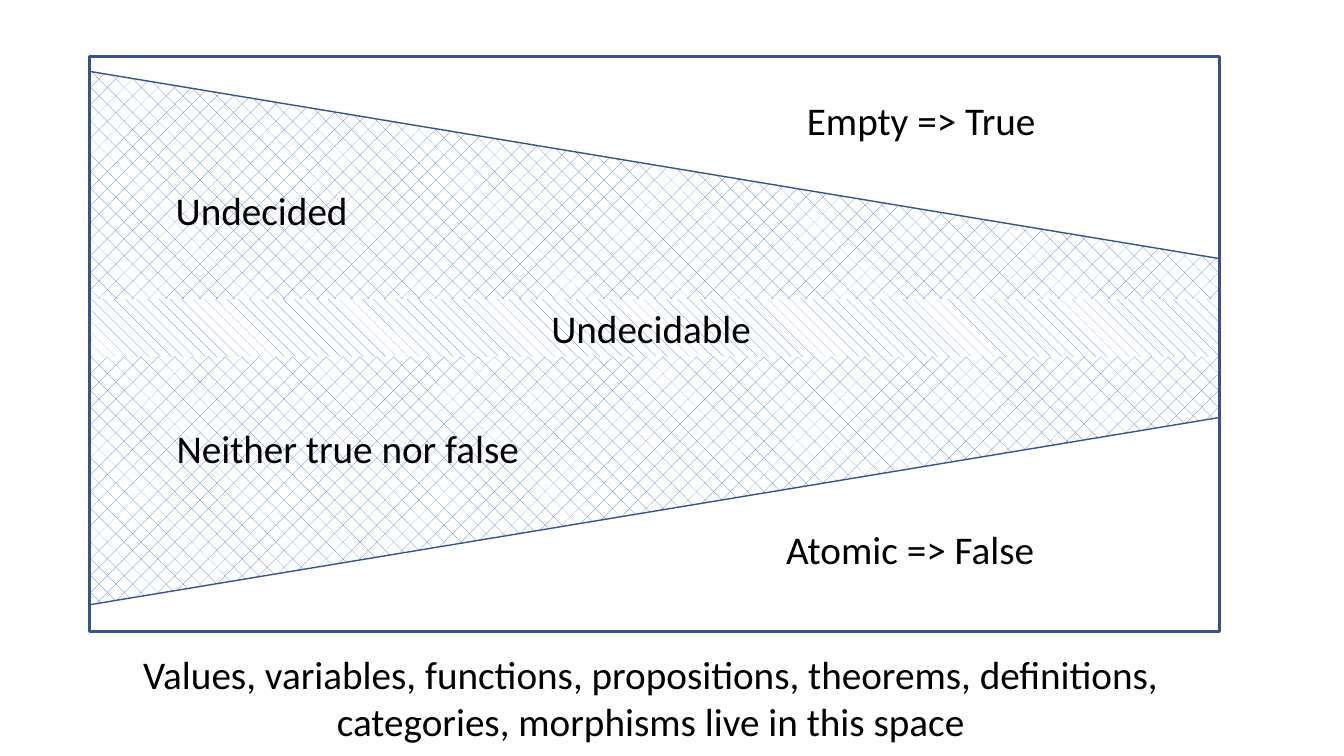
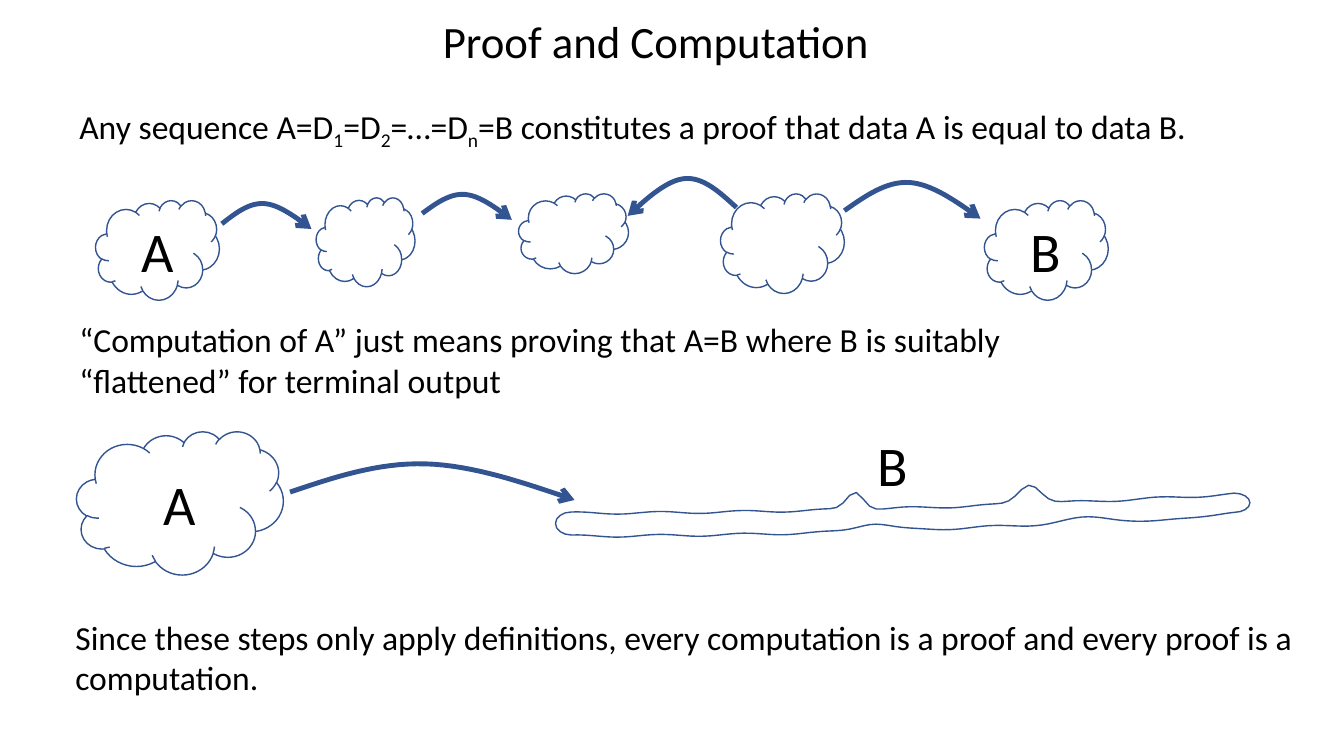
import dataclasses
import math

import lxml.etree
import pptx
import pptx.dml.color
import pptx.enum.dml
import pptx.enum.shapes
import pptx.enum.text
import pptx.oxml.ns
import pptx.util

SHAPE = pptx.enum.shapes.MSO_SHAPE
PATTERN = pptx.enum.dml.MSO_PATTERN
ALIGN = pptx.enum.text.PP_ALIGN
ANCHOR = pptx.enum.text.MSO_ANCHOR


@dataclasses.dataclass(frozen=True)
class Theme:
    font: str = "Calibri"
    ink: str = "000000"
    paper: str = "FFFFFF"
    accent: str = "4472C4"
    outline: str = "325491"
    title: int = 32
    label: int = 28
    body: int = 24
    letter: int = 40
    thin: float = 1
    frame: float = 2.25
    arrow: float = 3.5
    subscript: str = "-25000"


@dataclasses.dataclass(frozen=True)
class Box:
    left: float
    top: float
    width: float
    height: float

    def inner(self, left, top, width, height):
        return Box(self.left + left, self.top + top, width, height)

    def centred(self, width, height):
        return self.inner((self.width - width) / 2, (self.height - height) / 2, width, height)

    def points(self, offsets):
        return [(self.left + across, self.top + down) for across, down in offsets]

    def lengths(self):
        return [pptx.util.Cm(value) for value in dataclasses.astuple(self)]


@dataclasses.dataclass(frozen=True)
class Bump:
    centre: float
    rise: float
    spread: float

    def lift(self, across):
        return self.rise * math.exp(-(((across - self.centre) / self.spread) ** 2))


@dataclasses.dataclass(frozen=True)
class Edge:
    start: float
    climb: float
    bumps: tuple
    ripple: float = 0.03

    def height_at(self, across, width):
        slope = self.climb * (across / width) ** 2
        wave = self.ripple * math.sin(3 * across)
        return self.start - slope - wave - sum(bump.lift(across) for bump in self.bumps)


THEME = Theme()
LETTER_SIZE = (1.32, 1.96)
LABEL_HEIGHT = 1.45
LARGE_CLOUD = (3.12, 2.51)
NARROW_CLOUD = (2.49, 2.24)
FLAT_CLOUD = (2.77, 2.01)
UPPER_EDGE = Edge(0.74, 0.5, (Bump(7.55, 0.45, 0.3), Bump(11.95, 0.5, 0.4)))
LOWER_EDGE = Edge(1.32, 0.6, (Bump(8, 0.2, 0.6), Bump(13.5, 0.12, 0.8), Bump(15.1, -0.09, 0.7)))


def colour(value):
    return pptx.dml.color.RGBColor.from_string(value)


def apply(target, values):
    for name, value in values.items():
        setattr(target, name, value)


def write(shape, text, size, align=ALIGN.LEFT, **frame_format):
    frame = shape.text_frame
    apply(frame, {"word_wrap": True, **frame_format})
    para = frame.paragraphs[0]
    para.alignment = align
    for part in text.split("_"):
        span = para.add_run()
        span.text = part
        apply(span.font, {"name": THEME.font, "size": pptx.util.Pt(size)})
        span.font.color.rgb = colour(THEME.ink)
    run_formats = list(shape.element.iter(pptx.oxml.ns.qn("a:rPr")))
    for lowered in run_formats[1::2]:
        lowered.set("baseline", THEME.subscript)


def add_text(page, box, text, size, align=ALIGN.LEFT, **frame_format):
    write(page.shapes.add_textbox(*box.lengths()), text, size, align, **frame_format)


def style(shape, line_width=None, pattern=None):
    shape.shadow.inherit = False
    if pattern is None:
        shape.fill.background()
    else:
        shape.fill.patterned()
        shape.fill.pattern = pattern
        shape.fill.fore_color.rgb = colour(THEME.accent)
        shape.fill.back_color.rgb = colour(THEME.paper)
    if line_width is None:
        shape.line.fill.background()
    else:
        shape.line.color.rgb = colour(THEME.outline)
        shape.line.width = pptx.util.Pt(line_width)


def add_preset(page, preset, box, line_width=None, pattern=None):
    shape = page.shapes.add_shape(preset, *box.lengths())
    style(shape, line_width, pattern)
    return shape


def add_path(page, points, line_width, close):
    start, *rest = [tuple(pptx.util.Cm(value) for value in point) for point in points]
    builder = page.shapes.build_freeform(*start)
    builder.add_line_segments(rest, close=close)
    shape = builder.convert_to_shape()
    style(shape, line_width)
    return shape


def bezier(points, steps=16):
    for step in range(steps + 1):
        part = step / steps
        rest = 1 - part
        weights = (rest**3, 3 * rest**2 * part, 3 * rest * part**2, part**3)
        yield tuple(
            sum(weight * value for weight, value in zip(weights, axis)) for axis in zip(*points)
        )


def halfway(first, second):
    return tuple((one + two) / 2 for one, two in zip(first, second))


def add_arc_arrow(page, points):
    start, crest, end = points
    reach = [(last - first) / 6 for first, last in zip(start, end)]
    before = tuple(value - shift for value, shift in zip(crest, reach))
    after = tuple(value + shift for value, shift in zip(crest, reach))
    rise = list(bezier([start, halfway(start, before), before, crest]))
    fall = list(bezier([crest, after, halfway(after, end), end]))
    shape = add_path(page, rise + fall[1:], THEME.arrow, close=False)
    line = shape.element.spPr.find(pptx.oxml.ns.qn("a:ln"))
    lxml.etree.SubElement(line, pptx.oxml.ns.qn("a:tailEnd"), type="arrow")


def round_end(top, bottom, across, depth, steps=8):
    middle, radius = (top + bottom) / 2, (bottom - top) / 2
    for step in range(1, steps):
        angle = math.pi * step / steps
        yield across + depth * math.sin(angle), middle - radius * math.cos(angle)


def add_flat_blob(page, box, end_depth=0.4, steps=100):
    first, last = end_depth, box.width - end_depth
    stations = [first + (last - first) * step / steps for step in range(steps + 1)]
    upper, lower = [
        [(across, edge.height_at(across, box.width)) for across in stations]
        for edge in (UPPER_EDGE, LOWER_EDGE)
    ]
    right_end = list(round_end(upper[-1][1], lower[-1][1], last, end_depth))
    left_end = list(round_end(upper[0][1], lower[0][1], first, -end_depth))
    outline = upper + right_end + lower[::-1] + left_end[::-1]
    add_path(page, box.points(outline), THEME.thin, close=True)


def add_letter(page, box, letter):
    add_text(page, box, letter, THEME.letter, word_wrap=False)


def add_cloud(page, box, letter):
    add_preset(page, SHAPE.CLOUD, box, THEME.thin)
    if letter:
        add_letter(page, box.centred(*LETTER_SIZE), letter)


def add_truth_map(page, box):
    upright = box.inner(0, 0.38, box.width, 13.44).centred(13.44, box.width)
    wedge = add_preset(page, SHAPE.TRAPEZOID, upright, THEME.thin, PATTERN.DOTTED_DIAMOND)
    wedge.adjustments[0] = 0.351
    wedge.rotation = 90
    add_preset(page, SHAPE.RECTANGLE, box.inner(0, 6.27, 28.27, 1.17), None, PATTERN.DOTTED_DIAMOND)
    band_box = box.inner(0.05, 6.12, 28.42, LABEL_HEIGHT)
    band = add_preset(page, SHAPE.RECTANGLE, band_box, None, PATTERN.SHINGLE)
    write(band, "Undecidable ", THEME.label, ALIGN.CENTER, vertical_anchor=ANCHOR.MIDDLE)
    labels = [
        (16.84, 0.89, 8.23, "Empty => True"),
        (16.56, 11.68, 8.23, "Atomic => False"),
        (0.22, 3.15, 8.23, "Undecided"),
        (1.17, 9.14, 10.67, "Neither true nor false"),
    ]
    for left, top, width, text in labels:
        place = box.inner(left, top, width, LABEL_HEIGHT)
        add_text(page, place, text, THEME.label, ALIGN.CENTER)
    add_preset(page, SHAPE.RECTANGLE, box, THEME.frame)


def add_sequence(page, box):
    clouds = [
        (0, 0.58, LARGE_CLOUD, "A"),
        (5.56, 0.51, NARROW_CLOUD, ""),
        (10.66, 0.41, FLAT_CLOUD, ""),
        (15.75, 0.41, LARGE_CLOUD, ""),
        (22.4, 0.58, LARGE_CLOUD, "B"),
    ]
    for left, top, size, letter in clouds:
        add_cloud(page, box.inner(left, top, *size), letter)
    start_crest_end = [
        [(3.18, 1.17), (4.24, 0.66), (5.44, 1.3)],
        [(8.23, 0.91), (9.3, 0.43), (10.49, 1.07)],
        [(16.15, 0.76), (14.86, 0.03), (13.41, 0.97)],
        [(18.87, 0.84), (20.5, 0.13), (22.3, 1.04)],
    ]
    for offsets in start_crest_end:
        add_arc_arrow(page, box.points(offsets))


def add_flattening(page, box):
    add_cloud(page, box.inner(0, 0.15, 5.21, 3.61), "A")
    add_flat_blob(page, box.inner(12.07, 1.47, 17.5, 1.37))
    add_arc_arrow(page, box.points([(5.38, 1.68), (8.79, 0.97), (12.55, 1.88)]))
    add_letter(page, box.inner(19.94, 0, *LETTER_SIZE), "B")


def build_truth_page(page):
    add_truth_map(page, Box(2.26, 1.42, 28.47, 14.5))
    caption = (
        "Values, variables, functions, propositions, theorems, definitions, "
        "categories, morphisms live in this space"
    )
    add_text(page, Box(2.16, 16.26, 28.47, 2.64), caption, THEME.label, ALIGN.CENTER)


def build_proof_page(page):
    add_text(page, Box(0.2, 0.23, 32.66, 1.63), "Proof and Computation", THEME.title, ALIGN.CENTER)
    sequence = "Any sequence A=D_1_=D_2_=…=D_n_=B constitutes a proof that data A is equal to data B."
    meaning = (
        "“Computation of A” just means proving that A=B where B is suitably "
        "“flattened” for terminal output"
    )
    conclusion = (
        "Since these steps only apply definitions, every computation is a proof "
        "and every proof is a computation."
    )
    statements = [
        (Box(1.75, 2.54, 31.62, 1.27), sequence),
        (Box(1.75, 7.92, 24.1, 2.31), meaning),
        (Box(1.65, 15.42, 31.62, 2.31), conclusion),
    ]
    for box, text in statements:
        add_text(page, box, text, THEME.body)
    add_sequence(page, Box(2.41, 4.47, 25.53, 3.1))
    add_flattening(page, Box(1.93, 10.72, 29.57, 3.76))


def main():
    deck = pptx.Presentation()
    apply(deck, {"slide_width": pptx.util.Cm(33.87), "slide_height": pptx.util.Cm(19.05)})
    for build in (build_truth_page, build_proof_page):
        build(deck.slides.add_slide(deck.slide_layouts[6]))
    deck.save("out.pptx")


if __name__ == "__main__":
    main()
